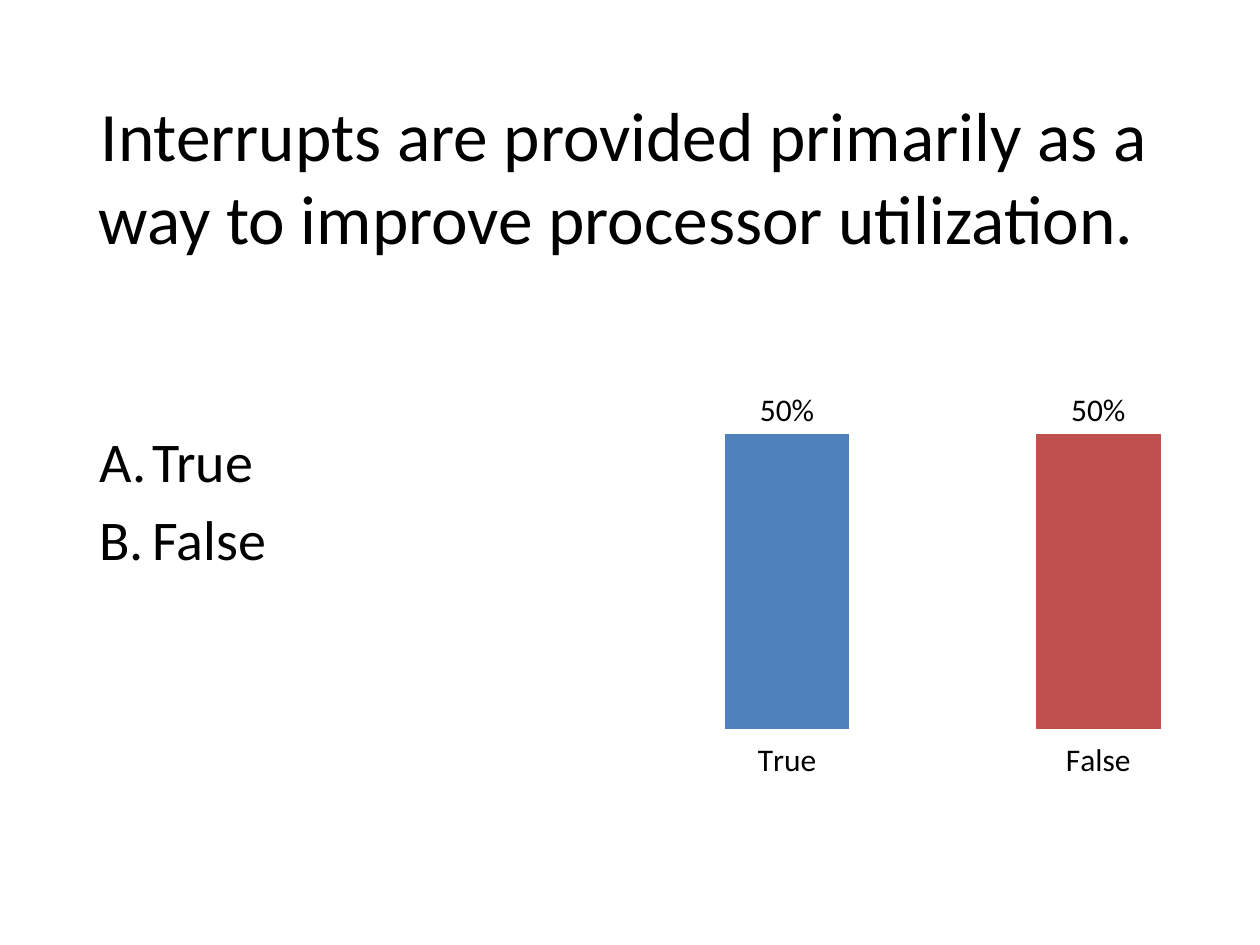
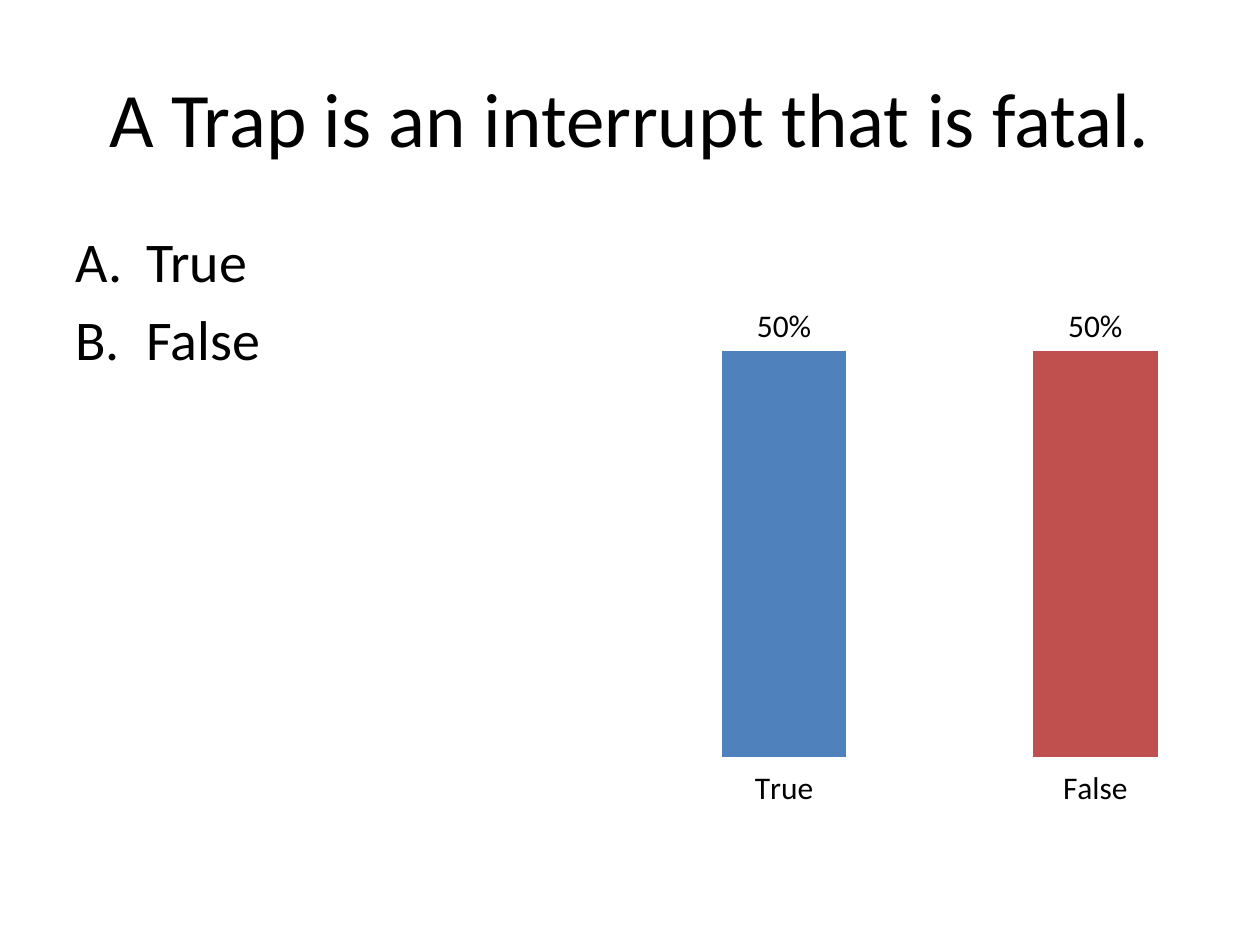
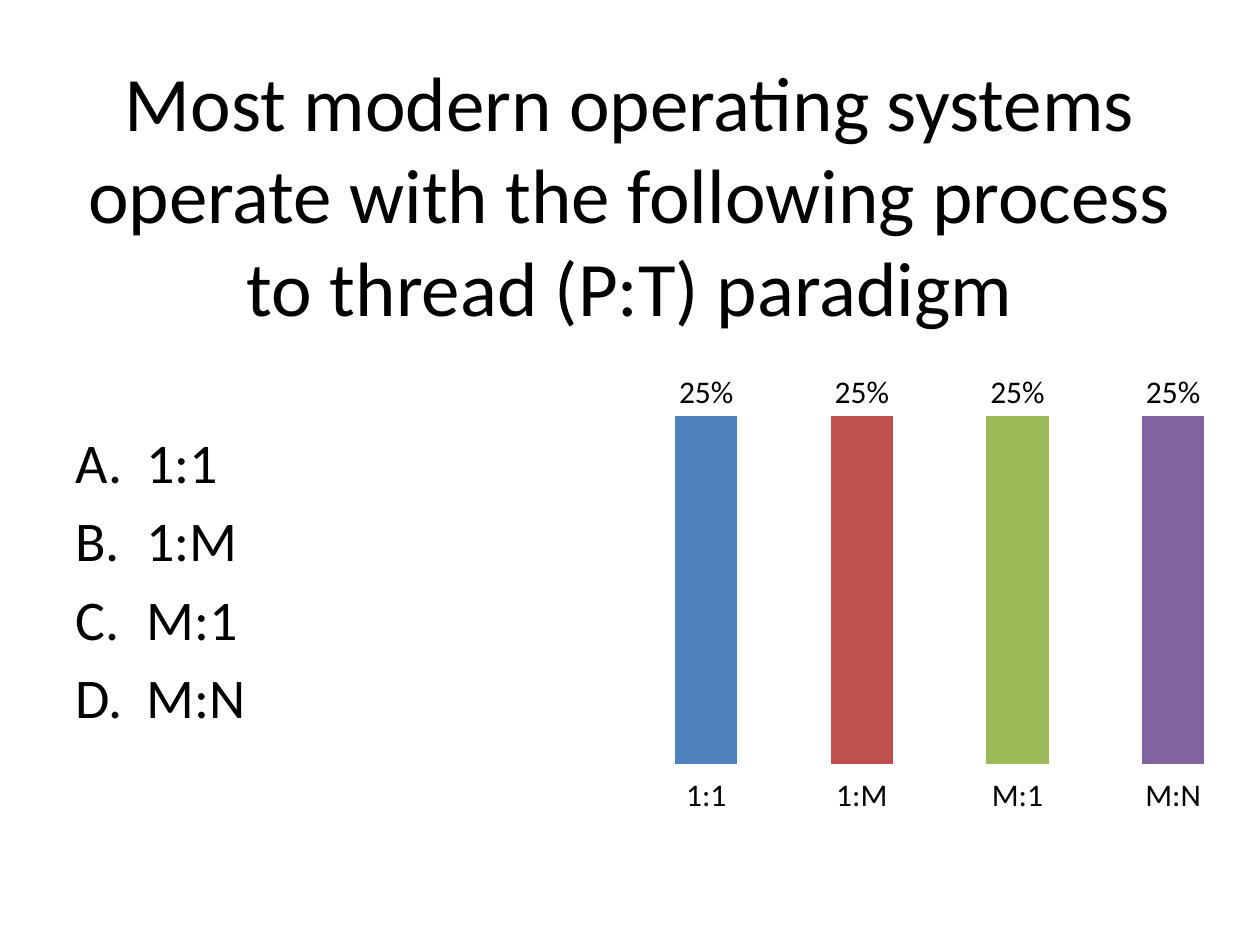
from lxml import etree
from pptx import Presentation
from pptx.chart.data import CategoryChartData
from pptx.dml.color import RGBColor
from pptx.enum.chart import XL_CHART_TYPE, XL_LABEL_POSITION, XL_TICK_LABEL_POSITION
from pptx.enum.text import MSO_ANCHOR, PP_ALIGN
from pptx.oxml import parse_xml
from pptx.oxml.ns import nsdecls, qn
from pptx.util import Pt

COLUMNS = XL_CHART_TYPE.COLUMN_CLUSTERED
OUTSIDE_END = XL_LABEL_POSITION.OUTSIDE_END
NO_LABELS = XL_TICK_LABEL_POSITION.NONE
MIDDLE, TOP = MSO_ANCHOR.MIDDLE, MSO_ANCHOR.TOP
CENTER = PP_ALIGN.CENTER

EMU_PER_PX = 914400 / 126
FONT = "Calibri"
COLORS = {"text": "000000", "blue": "4F81BD", "red": "C0504D",
          "green": "9BBB59", "purple": "8064A2"}
BAR_COLORS = ["blue", "red", "green", "purple"]
ANSWER_SIZE = 32
PLOT_LAYOUT = {"x": 0.01, "y": 0.07, "w": 0.99, "h": 0.76}

# Boxes are left, top, width, height in px
QUESTIONS = [
    {"title": "Interrupts are provided primarily as a way to improve processor utilization. ",
     "title_size": 39.6, "title_box": (57, 96, 1134, 158),
     "answers": ["True", "False"], "answer_box": (87, 420, 543, 450), "indent": 53,
     "chart_box": (624, 338, 630, 532), "share": 0.5},
    {"title": "A Trap is an interrupt that is fatal.",
     "title_size": 44, "title_box": (63, 38, 1134, 158),
     "answers": ["True", "False"], "answer_box": (63, 220, 567, 624), "indent": 71,
     "chart_box": (621, 220, 630, 708), "share": 0.5},
    {"title": "Most modern operating systems operate with the following process "
              "to thread (P:T) paradigm",
     "title_size": 44, "title_box": (63, 38, 1134, 310),
     "answers": ["1:1", "1:M", "M:1", "M:N"], "answer_box": (63, 421, 567, 423), "indent": 71,
     "chart_box": (621, 304, 630, 615), "share": 0.25},
]


def px(*lengths):
    return [round(length * EMU_PER_PX) for length in lengths]


def add_text(slide, box, lines, size, anchor, alignment=None, indent=0):
    """Add a text box; an indent turns its lines into a lettered list."""
    frame = slide.shapes.add_textbox(*px(*box)).text_frame
    frame.word_wrap = True
    frame.vertical_anchor = anchor
    for index, line in enumerate(lines):
        paragraph = frame.paragraphs[0] if index == 0 else frame.add_paragraph()
        paragraph.alignment = alignment
        if index:
            paragraph.space_before = Pt(size * 0.2)
        if indent:
            hanging = px(indent)[0]
            properties = paragraph._p.get_or_add_pPr()
            properties.set("marL", str(hanging))
            properties.set("indent", str(-hanging))
            etree.SubElement(properties, qn("a:buAutoNum"), type="alphaUcPeriod")
        run = paragraph.add_run()
        run.text = line
        run.font.name = FONT
        run.font.size = Pt(size)
        run.font.color.rgb = RGBColor.from_string(COLORS["text"])


presentation = Presentation()
presentation.slide_width, presentation.slide_height = px(1260, 945)

for question in QUESTIONS:
    slide = presentation.slides.add_slide(presentation.slide_layouts[6])
    answers = question["answers"]

    # Chart of the votes
    chart_data = CategoryChartData(number_format="0%")
    chart_data.categories = answers
    chart_data.add_series("Series 1", [question["share"]] * len(answers))
    chart = slide.shapes.add_chart(COLUMNS, *px(*question["chart_box"]), chart_data).chart
    chart.has_title = False
    chart.has_legend = False
    chart.font.name = FONT
    chart.font.size = Pt(18)
    chart.font.color.rgb = RGBColor.from_string(COLORS["text"])

    # Axes without lines, gridlines or value labels
    for axis in (chart.category_axis, chart.value_axis):
        axis.has_major_gridlines = False
        axis.format.line.fill.background()
    chart.value_axis.minimum_scale = 0
    chart.value_axis.tick_label_position = NO_LABELS

    # One colour per bar, with its share above
    plot = chart.plots[0]
    plot.gap_width = 150
    plot.vary_by_categories = False
    plot.has_data_labels = True
    labels = plot.data_labels
    labels.show_value = True
    labels.number_format = "0%"
    labels.number_format_is_linked = False
    labels.position = OUTSIDE_END
    for index, color in enumerate(BAR_COLORS[:len(answers)]):
        fill = plot.series[0].points[index].format.fill
        fill.solid()
        fill.fore_color.rgb = RGBColor.from_string(COLORS[color])

    # Fixed plot area
    plot_area = chart.element.xpath("c:chart/c:plotArea")[0]
    for layout in plot_area.findall(qn("c:layout")):
        plot_area.remove(layout)
    modes = '<c:xMode val="edge"/><c:yMode val="edge"/>'
    sizes = "".join(f'<c:{name} val="{value}"/>' for name, value in PLOT_LAYOUT.items())
    plot_area.insert(0, parse_xml(
        f'<c:layout {nsdecls("c")}><c:manualLayout><c:layoutTarget val="outer"/>'
        f"{modes}{sizes}</c:manualLayout></c:layout>"))

    # Question and lettered answers
    add_text(slide, question["title_box"], [question["title"]], question["title_size"],
             MIDDLE, CENTER)
    add_text(slide, question["answer_box"], answers, ANSWER_SIZE, TOP,
             indent=question["indent"])

presentation.save("out.pptx")
